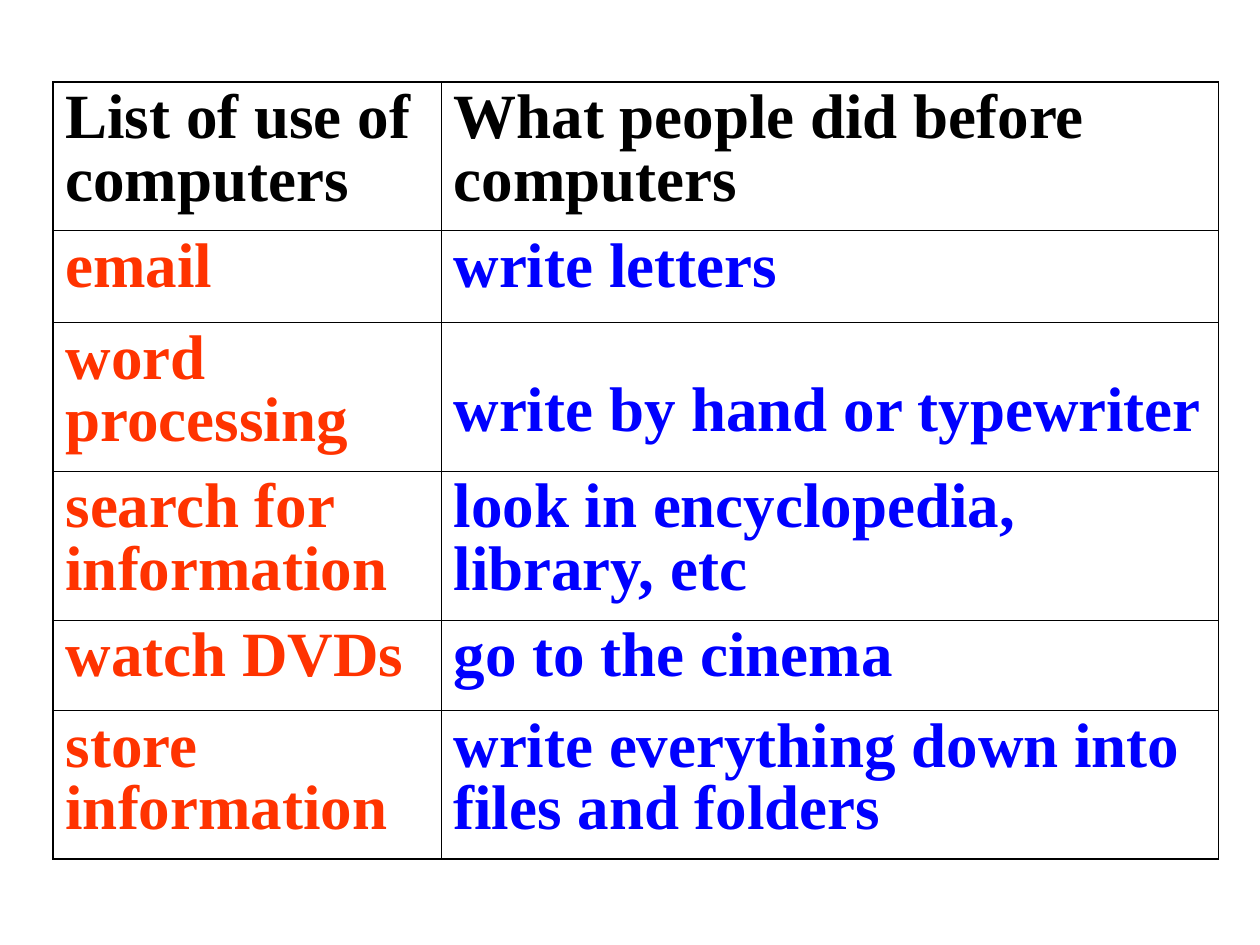
from lxml.etree import SubElement
from pptx import Presentation
from pptx.dml.color import RGBColor
from pptx.oxml.ns import qn
from pptx.util import Inches, Pt

COLORS = {"header": "000000", "use": "FF3300", "before": "0000FF", "border": "000000"}
ROWS = [
    ("List of use of computers", "What people did before computers"),
    ("email", "write letters"),
    ("word processing", "write by hand or typewriter"),
    ("search for information", "look in encyclopedia, library, etc"),
    ("watch DVDs", "go to the cinema"),
    ("store information", "write everything down into files and folders"),
]
COLUMN_WIDTHS = (3.08, 6.17)
ROW_HEIGHTS = (1.18, 0.73, 1.18, 1.18, 0.72, 1.18)
LEFT, TOP = 0.42, 0.65
INNER, OUTER = 0.45, 1.08
LOWERED_CELL = (2, 1)


def write_text(cell, text, *, color, top=0.05, size=36, font="Times New Roman"):
    cell.margin_left = cell.margin_right = Inches(0.1)
    cell.margin_top, cell.margin_bottom = Inches(top), Inches(0.05)
    para = cell.text_frame.paragraphs[0]
    para.line_spacing = 0.9
    span = para.add_run()
    span.text = text
    span.font.name, span.font.size, span.font.bold = font, Pt(size), True
    span.font.color.rgb = RGBColor.from_string(color)


def draw_borders(cell, widths):
    properties = cell._tc.get_or_add_tcPr()
    for side, width in widths.items():
        line = SubElement(properties, qn(f"a:ln{side}"), w=str(Pt(width)))
        fill = SubElement(line, qn("a:solidFill"))
        SubElement(fill, qn("a:srgbClr"), val=COLORS["border"])


def build_table(page):
    table = page.shapes.add_table(
        len(ROWS), len(COLUMN_WIDTHS), Inches(LEFT), Inches(TOP),
        Inches(sum(COLUMN_WIDTHS)), Inches(sum(ROW_HEIGHTS)),
    ).table
    table.first_row = table.horz_banding = False
    for column, width in zip(table.columns, COLUMN_WIDTHS):
        column.width = Inches(width)
    for row, height in zip(table.rows, ROW_HEIGHTS):
        row.height = Inches(height)
    last_row, last_column = len(ROWS) - 1, len(COLUMN_WIDTHS) - 1
    for r, texts in enumerate(ROWS):
        for c, text in enumerate(texts):
            cell = table.cell(r, c)
            role = "header" if r == 0 else ("use", "before")[c]
            top = 0.47 if (r, c) == LOWERED_CELL else 0.05
            write_text(cell, text, color=COLORS[role], top=top)
            edges = {"L": c == 0, "R": c == last_column, "T": r == 0, "B": r == last_row}
            draw_borders(cell, {side: OUTER if edge else INNER for side, edge in edges.items()})
            cell.fill.background()


def main():
    """Build the slide comparing computer uses with what people did before."""
    deck = Presentation()
    deck.slide_width, deck.slide_height = Inches(10), Inches(7.5)
    page = deck.slides.add_slide(deck.slide_layouts[6])
    build_table(page)
    deck.save("out.pptx")


if __name__ == "__main__":
    main()
